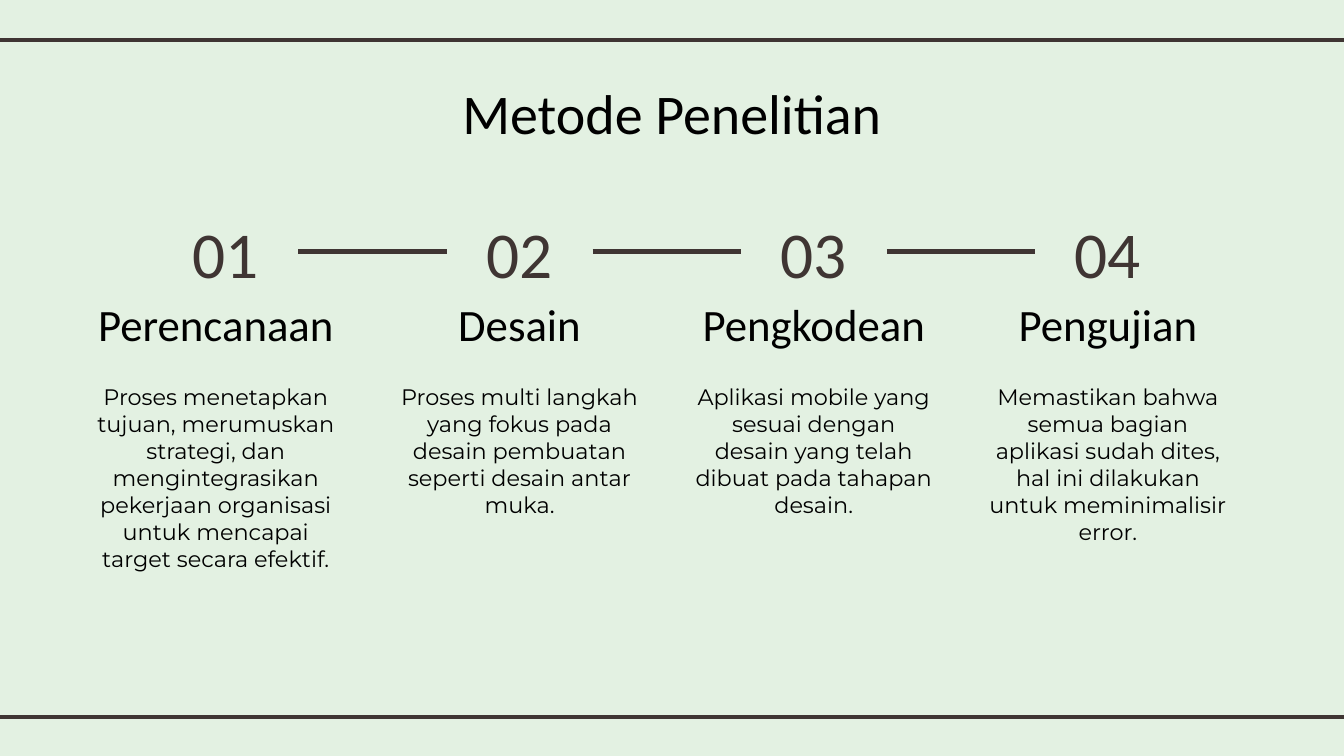
from itertools import pairwise

from lxml.etree import SubElement
from pptx import Presentation
from pptx.dml.color import RGBColor
from pptx.enum.shapes import MSO_CONNECTOR as Connector
from pptx.enum.text import MSO_ANCHOR as Anchor, MSO_AUTO_SIZE as AutoSize, PP_ALIGN as Align
from pptx.oxml.ns import qn
from pptx.util import Cm, Pt

COLORS = {"background": "E3F1E2", "accent": "3F3533", "text": "000000"}
HEADING_FONT = "Calibri"
BODY_FONT = "Montserrat"

SLIDE_WIDTH, SLIDE_HEIGHT = 25.4, 14.28
FIRST_CENTER, STEP_PITCH = 4.26, 5.56
FIRST_TEXT_SHIFT = -0.18
NUMBER_WIDTH, TEXT_WIDTH = 2.76, 5.26

STEPS = [
    ("Perencanaan", [
        "Proses menetapkan tujuan, merumuskan strategi, dan mengintegrasikan "
        "pekerjaan organisasi untuk mencapai target secara efektif.",
    ]),
    ("Desain", [
        "Proses multi langkah", "yang fokus pada", "desain pembuatan",
        "seperti desain antar", "muka.",
    ]),
    ("Pengkodean", [
        "Aplikasi mobile yang", "sesuai dengan", "desain yang telah",
        "dibuat pada tahapan", "desain.",
    ]),
    ("Pengujian", [
        "Memastikan bahwa", "semua bagian", "aplikasi sudah dites,",
        "hal ini dilakukan", "untuk meminimalisir", "error.",
    ]),
]


def color(name):
    return RGBColor.from_string(COLORS[name])


def add_rule(slide, start, end, y):
    """Draw a horizontal line at height y."""
    rule = slide.shapes.add_connector(Connector.STRAIGHT, Cm(start), Cm(y), Cm(end), Cm(y))
    rule.line.color.rgb = color("accent")
    rule.line.width = Pt(2.25)
    SubElement(rule._element.spPr, qn("a:effectLst"))


def add_centered_text(slide, lines, center, top, width, height, size,
                      font=HEADING_FONT, color_name="text", anchor=Anchor.MIDDLE):
    box = slide.shapes.add_textbox(Cm(center - width / 2), Cm(top), Cm(width), Cm(height))
    frame = box.text_frame
    frame.word_wrap = True
    frame.auto_size = AutoSize.NONE
    frame.vertical_anchor = anchor
    frame.margin_left = frame.margin_right = Cm(0.25)
    frame.margin_top = frame.margin_bottom = Cm(0.25)
    frame.text = "\n".join(lines)
    for paragraph in frame.paragraphs:
        paragraph.alignment = Align.CENTER
        paragraph.font.name = font
        paragraph.font.size = Pt(size)
        paragraph.font.color.rgb = color(color_name)


def add_step(slide, number, heading, description, center):
    text_center = center + (FIRST_TEXT_SHIFT if number == 1 else 0)
    add_centered_text(slide, [f"{number:02}"], center, 3.84, NUMBER_WIDTH, 1.85, 35,
                      color_name="accent")
    add_centered_text(slide, [heading], text_center, 5.61, TEXT_WIDTH, 1, 24)
    add_centered_text(slide, description, text_center, 6.99, TEXT_WIDTH, 1, 12,
                      font=BODY_FONT, anchor=Anchor.TOP)


def main():
    presentation = Presentation()
    presentation.slide_width = Cm(SLIDE_WIDTH)
    presentation.slide_height = Cm(SLIDE_HEIGHT)
    slide = presentation.slides.add_slide(presentation.slide_layouts[6])
    slide.background.fill.solid()
    slide.background.fill.fore_color.rgb = color("background")

    for y in (0.76, 13.54):
        add_rule(slide, -0.2, SLIDE_WIDTH + 0.2, y)
    add_centered_text(slide, ["Metode Penelitian"], SLIDE_WIDTH / 2, 1.24, 21.44, 1.6, 30,
                      anchor=Anchor.TOP)

    centers = [FIRST_CENTER + STEP_PITCH * index for index in range(len(STEPS))]
    for left, right in pairwise(centers):
        add_rule(slide, left + NUMBER_WIDTH / 2, right - NUMBER_WIDTH / 2, 4.75)
    for number, ((heading, description), center) in enumerate(zip(STEPS, centers), start=1):
        add_step(slide, number, heading, description, center)

    presentation.save("out.pptx")


if __name__ == "__main__":
    main()
